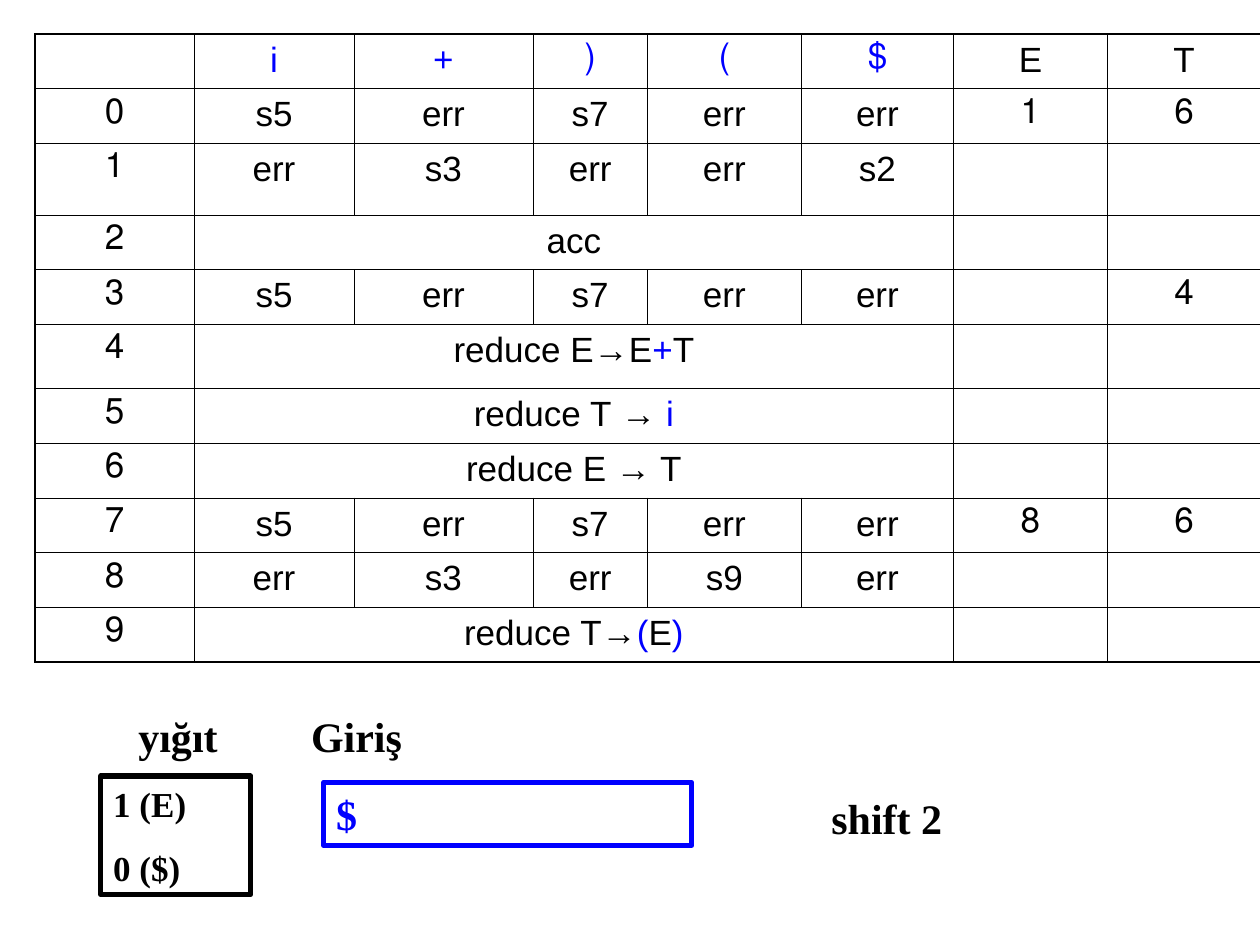
from lxml.etree import SubElement
from pptx import Presentation
from pptx.dml.color import RGBColor
from pptx.enum.shapes import MSO_SHAPE as Shape
from pptx.enum.text import MSO_ANCHOR as Anchor, PP_ALIGN as Align
from pptx.oxml.ns import qn
from pptx.util import Inches, Pt

COLORS = {"black": "000000", "blue": "0000FF"}
COLUMN_WIDTHS = [1.26, 1.27, 1.42, 0.91, 1.22, 1.21, 1.22, 1.22]
TALL_ROWS = {2: 0.57, 5: 0.51}
ROW_HEIGHT = 0.43
ACTION_COLUMNS = 5
OUTER_LINE, INNER_LINE = 1.08, 0.45

# The header is set right to left, which mirrors its brackets.
HEADER = ["i", "+", "(", ")", "$", "E", "T"]
SHIFT_ROW = ["s5", "err", "s7", "err", "err"]
# Each state holds either five actions or one list of (text, color) runs,
# followed by its E and T entries.
STATES = [
    (SHIFT_ROW, "1", "6"),
    (["err", "s3", "err", "err", "s2"], "", ""),
    ([("acc", "black")], "", ""),
    (SHIFT_ROW, "", "4"),
    ([("reduce E→E", "black"), ("+", "blue"), ("T", "black")], "", ""),
    ([("reduce T →", "black"), (" i", "blue")], "", ""),
    ([("reduce E → T", "black")], "", ""),
    (SHIFT_ROW, "8", "6"),
    (["err", "s3", "err", "s9", "err"], "", ""),
    ([("reduce T→", "black"), ("(", "blue"), ("E", "black"), (")", "blue")], "", ""),
]


def rgb(color):
    return RGBColor.from_string(COLORS[color])


def add_run(paragraph, text, size, font_name, color, bold=False):
    run = paragraph.add_run()
    run.text = text
    run.font.size = Pt(size)
    run.font.name = font_name
    run.font.bold = bold
    run.font.color.rgb = rgb(color)


def fill_cell(cell, runs):
    paragraph = cell.text_frame.paragraphs[0]
    paragraph.alignment = Align.CENTER
    paragraph._p.get_or_add_pPr().set("rtl", "1")
    for text, color in runs:
        add_run(paragraph, text, 20, "Arial", color)


def set_borders(cell, widths):
    """Draw the given sides; line elements must precede the cell's fill."""
    properties = cell._tc.get_or_add_tcPr()
    for index, (side, width) in enumerate(widths.items()):
        line = SubElement(properties, qn(f"a:ln{side}"), w=str(Pt(width)))
        fill = SubElement(line, qn("a:solidFill"))
        SubElement(fill, qn("a:srgbClr"), val=COLORS["black"])
        properties.insert(index, line)


def style_grid(table):
    last_row, last_column = len(table.rows) - 1, len(table.columns) - 1
    for r in range(last_row + 1):
        for c in range(last_column + 1):
            cell = table.cell(r, c)
            cell.fill.background()
            edges = {"L": c == 0, "R": c == last_column, "T": r == 0, "B": r == last_row}
            if cell.is_spanned:
                edges = {side: edges[side] for side in "TB"}
            set_borders(cell, {side: OUTER_LINE if outer else INNER_LINE
                               for side, outer in edges.items()})


def add_parsing_table(slide, left, top):
    heights = [TALL_ROWS.get(r, ROW_HEIGHT) for r in range(len(STATES) + 1)]
    table = slide.shapes.add_table(
        len(heights), len(COLUMN_WIDTHS), Inches(left), Inches(top),
        Inches(sum(COLUMN_WIDTHS)), Inches(sum(heights))).table
    table.first_row = table.horz_banding = False
    for column, width in zip(table.columns, COLUMN_WIDTHS):
        column.width = Inches(width)
    for row, height in zip(table.rows, heights):
        row.height = Inches(height)

    for c, symbol in enumerate(HEADER, start=1):
        color = "blue" if c <= ACTION_COLUMNS else "black"
        fill_cell(table.cell(0, c), [(symbol, color)])
    for r, (actions, *gotos) in enumerate(STATES, start=1):
        fill_cell(table.cell(r, 0), [(str(r - 1), "black")])
        if isinstance(actions[0], tuple):
            table.cell(r, 1).merge(table.cell(r, ACTION_COLUMNS))
            fill_cell(table.cell(r, 1), actions)
        else:
            for c, action in enumerate(actions, start=1):
                fill_cell(table.cell(r, c), [(action, "black")])
        for c, goto in enumerate(gotos, start=ACTION_COLUMNS + 1):
            if goto:
                fill_cell(table.cell(r, c), [(goto, "black")])
    style_grid(table)


def write_lines(shape, lines, size, color):
    frame = shape.text_frame
    frame.word_wrap = True
    frame.vertical_anchor = Anchor.TOP
    for index, text in enumerate(lines):
        paragraph = frame.add_paragraph() if index else frame.paragraphs[0]
        paragraph.alignment = Align.LEFT
        if index:
            paragraph.space_before = Pt(12.5)
        add_run(paragraph, text, size, "Times New Roman", color, bold=True)


def add_label(slide, text, left, top, width):
    box = slide.shapes.add_textbox(Inches(left), Inches(top), Inches(width), Inches(0.5))
    write_lines(box, [text], 24, "black")


def add_frame(slide, lines, left, top, width, height, size, color):
    shape = slide.shapes.add_shape(
        Shape.RECTANGLE, Inches(left), Inches(top), Inches(width), Inches(height))
    shape.shadow.inherit = False
    shape.fill.background()
    shape.line.color.rgb = rgb(color)
    shape.line.width = Pt(3)
    write_lines(shape, lines, size, color)


def add_parser_state(slide, left, top):
    """Show the stack, the remaining input and the next move."""
    add_frame(slide, ["$"], left + 1.77, top + 0.62, 2.92, 0.5, 24, "blue")
    add_label(slide, "Giriş", left + 1.57, top, 3.51)
    add_frame(slide, ["1 (E)", "0 ($)"], left, top + 0.57, 1.19, 0.94, 20, "black")
    add_label(slide, "shift 2", left + 5.7, top + 0.65, 3.08)
    add_label(slide, "yığıt", left + 0.2, top, 1.3)


def main():
    presentation = Presentation()
    presentation.slide_width, presentation.slide_height = Inches(10), Inches(7.5)
    slide = presentation.slides.add_slide(presentation.slide_layouts[6])
    add_parser_state(slide, 0.8, 5.59)
    add_parsing_table(slide, 0.28, 0.27)
    presentation.save("out.pptx")


if __name__ == "__main__":
    main()
